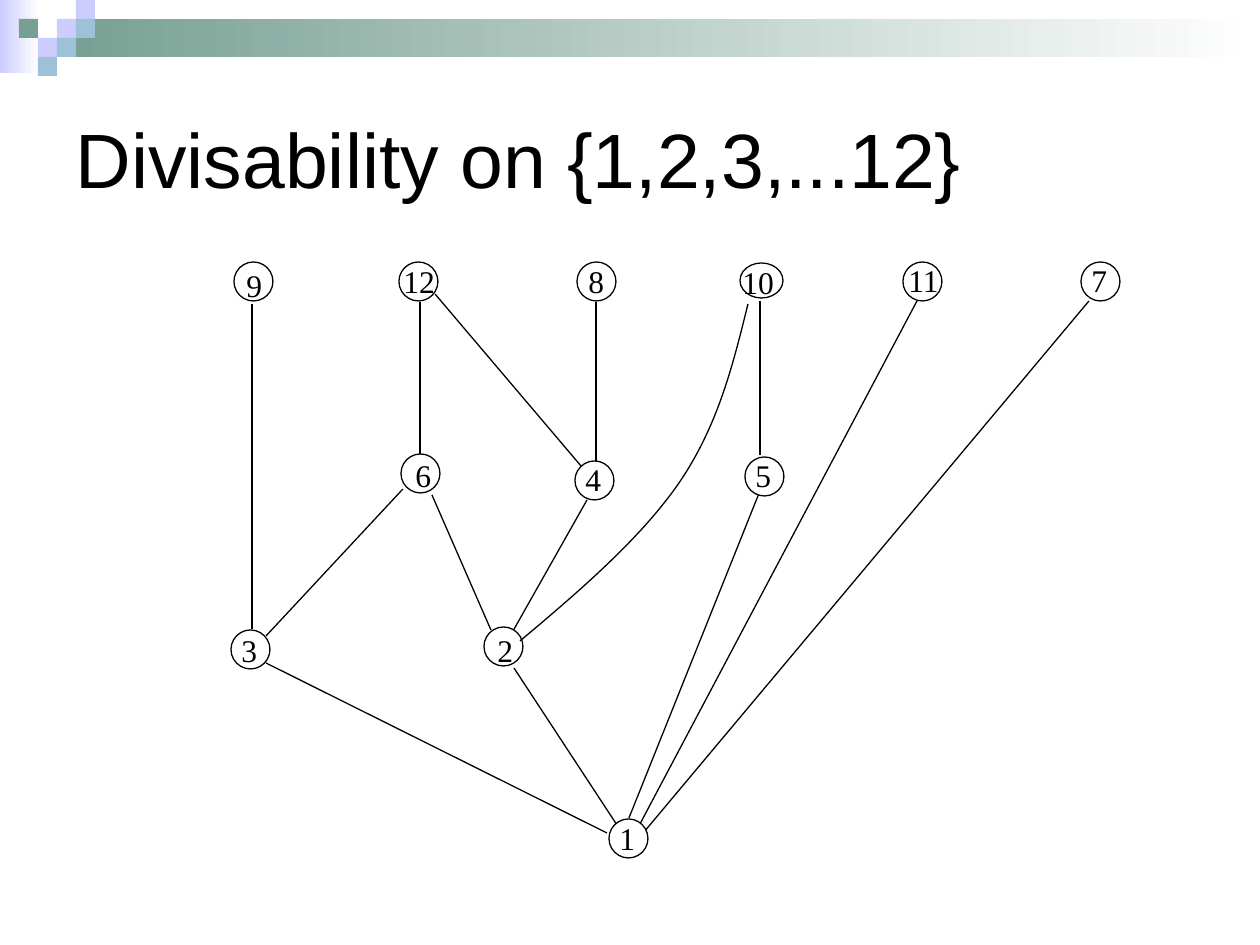
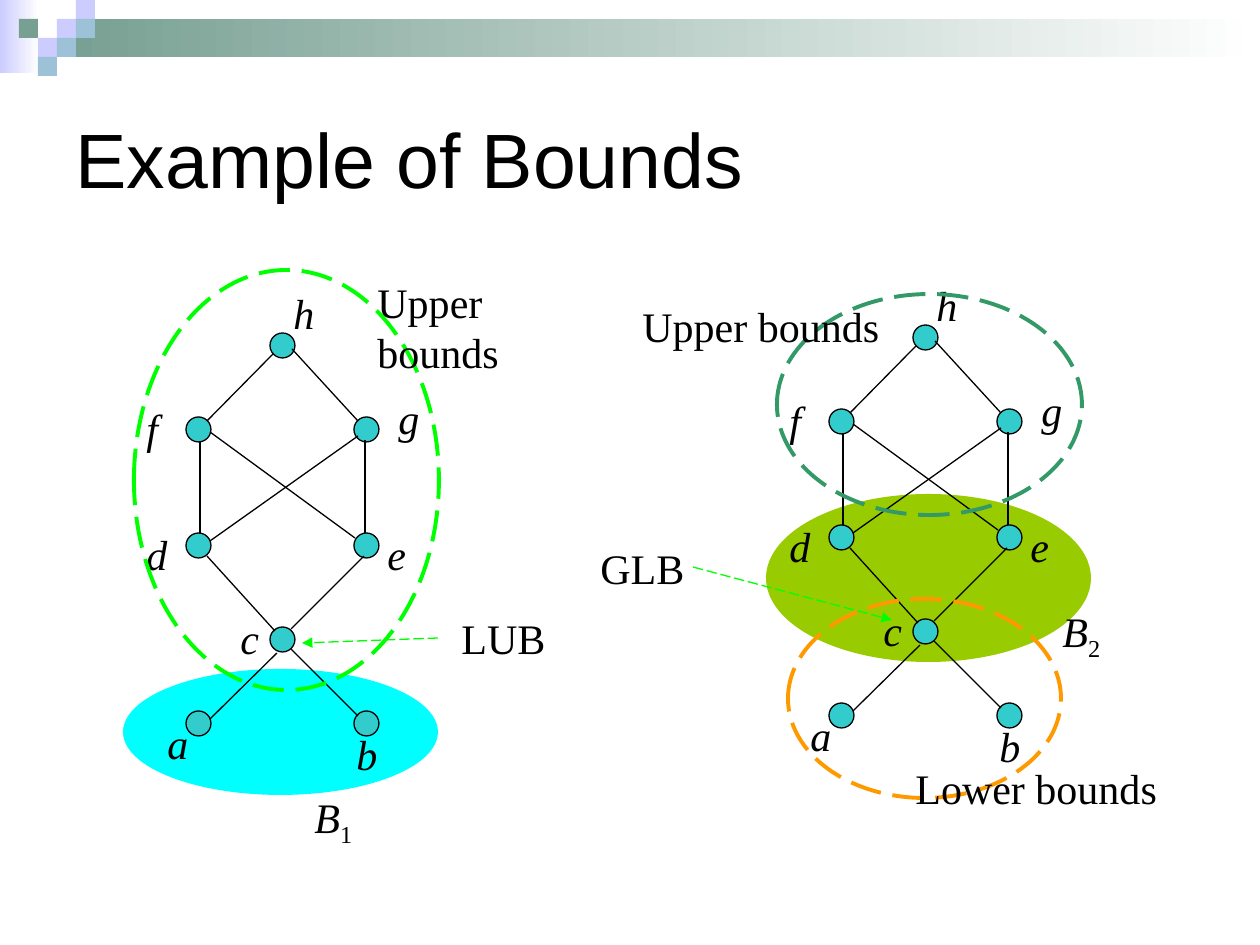
import lxml.etree
import pptx
import pptx.dml.color
import pptx.enum.dml
import pptx.enum.shapes
import pptx.enum.text
import pptx.oxml.ns
import pptx.util

RGBColor = pptx.dml.color.RGBColor
BLACK = RGBColor(0x00, 0x00, 0x00)
WHITE = RGBColor(0xFF, 0xFF, 0xFF)
LAVENDER = RGBColor(0xCC, 0xCC, 0xFF)
SAGE = RGBColor(0x77, 0x9F, 0x92)
PALE_BLUE = RGBColor(0x9D, 0xC2, 0xD7)
TEAL = RGBColor(0x33, 0xCC, 0xCC)
LIME = RGBColor(0x99, 0xCC, 0x00)
CYAN = RGBColor(0x00, 0xFF, 0xFF)
BRIGHT_GREEN = RGBColor(0x00, 0xFF, 0x00)
ORANGE = RGBColor(0xFF, 0x99, 0x00)
SEA_GREEN = RGBColor(0x33, 0x99, 0x66)

SCALE = 914400 / 126
SHAPES = pptx.enum.shapes.MSO_SHAPE
ALIGN = pptx.enum.text.PP_ALIGN
AUTO_SIZE = pptx.enum.text.MSO_AUTO_SIZE
qn = pptx.oxml.ns.qn


def lengths(*pixels):
    return [pptx.util.Emu(round(pixel * SCALE)) for pixel in pixels]


class Deck:
    title_font = "Arial"
    body_font = "Times New Roman"
    thin = 0.75
    thick = 2.25

    def __init__(self):
        self.presentation = pptx.Presentation()
        self.presentation.slide_width, self.presentation.slide_height = lengths(1260, 945)
        self.layout = self.presentation.slide_layouts[5]
        self.slide = None

    def add_slide(self, title):
        self.slide = self.presentation.slides.add_slide(self.layout)
        shape = self.slide.shapes.title
        shape.left, shape.top, shape.width, shape.height = lengths(63, 63, 1134, 189)
        frame = shape.text_frame
        frame.word_wrap = True
        frame.auto_size = AUTO_SIZE.NONE
        frame.vertical_anchor = pptx.enum.text.MSO_ANCHOR.MIDDLE
        paragraph = frame.paragraphs[0]
        paragraph.alignment = ALIGN.LEFT
        self.run(paragraph, title, self.title_font, 44)

    def run(self, paragraph, text, font_name, size, italic=False):
        run = paragraph.add_run()
        run.text = text
        run.font.name = font_name
        run.font.size = pptx.util.Pt(size)
        run.font.italic = italic
        run.font.color.rgb = BLACK
        return run

    def outline(self, line, color, width, dashed=False):
        line.color.rgb = color
        line.width = pptx.util.Pt(width)
        if dashed:
            line.dash_style = pptx.enum.dml.MSO_LINE.LONG_DASH

    def shape(self, kind, box, fill=None, line=None, width=thin, dashed=False):
        shape = self.slide.shapes.add_shape(kind, *lengths(*box))
        shape.shadow.inherit = False
        if fill is None:
            shape.fill.background()
        else:
            shape.fill.solid()
            shape.fill.fore_color.rgb = fill
        if line is None:
            shape.line.fill.background()
        else:
            self.outline(shape.line, line, width, dashed)
        return shape

    def ellipse(self, box, fill=None, line=None):
        return self.shape(SHAPES.OVAL, box, fill, line)

    def dashed_ellipse(self, box, color):
        return self.shape(SHAPES.OVAL, box, None, color, self.thick, True)

    def fading_band(self, box, color):
        shape = self.shape(SHAPES.RECTANGLE, box, color)
        shape.fill.gradient()
        shape.fill.gradient_angle = 0
        for stop, stop_color in zip(shape.fill.gradient_stops, (color, WHITE)):
            stop.color.rgb = stop_color
        return shape

    def decorate_layout(self):
        parts = [self.fading_band((0, 0, 39, 73), LAVENDER),
                 self.fading_band((57, 19, 1203, 38), SAGE)]
        squares = [(3, 1, LAVENDER), (4, 0, LAVENDER), (4, 1, PALE_BLUE),
                   (2, 2, LAVENDER), (1, 1, SAGE), (3, 2, PALE_BLUE), (2, 3, PALE_BLUE)]
        for column, row, color in squares:
            box = (19 * column, 19 * row, 19, 19)
            parts.append(self.shape(SHAPES.RECTANGLE, box, color))
        for part in parts:
            self.layout.shapes.element.append(part.element)

    def text_box(self, box):
        frame = self.slide.shapes.add_textbox(*lengths(*box)).text_frame
        frame.word_wrap = True
        return frame

    def number(self, box, text):
        paragraph = self.text_box(box).paragraphs[0]
        paragraph.alignment = ALIGN.JUSTIFY
        self.run(paragraph, text, self.body_font, 18)

    def label(self, box, text, italic=False, subscript=None):
        frame = self.text_box(box)
        frame.auto_size = AUTO_SIZE.SHAPE_TO_FIT_TEXT
        paragraph = frame.paragraphs[0]
        spacing = lxml.etree.SubElement(paragraph._p.get_or_add_pPr(), qn("a:spcBef"))
        lxml.etree.SubElement(spacing, qn("a:spcPct"), val="50000")
        self.run(paragraph, text, self.body_font, 24, italic)
        if subscript:
            run = self.run(paragraph, subscript, self.body_font, 24)
            run._r.get_or_add_rPr().set("baseline", "-25000")

    def line(self, ends, color=BLACK, dashed=False, arrow=False):
        connector = self.slide.shapes.add_connector(
            pptx.enum.shapes.MSO_CONNECTOR.STRAIGHT, *lengths(*ends))
        self.outline(connector.line, color, self.thin, dashed)
        properties = connector.element.spPr
        if arrow:
            lxml.etree.SubElement(properties.find(qn("a:ln")), qn("a:tailEnd"), type="triangle")
        lxml.etree.SubElement(properties, qn("a:effectLst"))

    def curve(self, start, controls):
        builder = self.slide.shapes.build_freeform(*start, scale=SCALE)
        builder.add_line_segments(controls, close=False)
        shape = builder.convert_to_shape()
        shape.shadow.inherit = False
        shape.fill.background()
        self.outline(shape.line, BLACK, self.thin)
        segments = list(shape.element.iter(qn("a:lnTo")))
        for index in range(0, len(segments), 3):
            bezier = lxml.etree.Element(qn("a:cubicBezTo"))
            segments[index].addprevious(bezier)
            for segment in segments[index:index + 3]:
                bezier.append(segment[0])
                segment.getparent().remove(segment)


def divisibility_slide(deck):
    deck.add_slide("Divisability on {1,2,3,...12}")
    deck.decorate_layout()
    edges = [
        (252, 304, 252, 629), (420, 302, 420, 456), (432, 495, 491, 630),
        (266, 636, 403, 489), (513, 631, 587, 500), (596, 302, 596, 464),
        (760, 301, 760, 455), (266, 663, 607, 833), (514, 668, 617, 825),
        (760, 491, 629, 818), (917, 301, 640, 824), (1089, 301, 644, 832),
    ]
    nodes = [
        ("9", (234, 262, 39, 39), (234, 260, 57, 53)),
        ("12", (399, 262, 39, 39), (391, 256, 97, 92)),
        ("8", (577, 262, 39, 39), (576, 256, 106, 113)),
        ("10", (740, 263, 43, 35), (730, 257, 83, 62)),
        ("11", (903, 262, 39, 39), (896, 255, 113, 136)),
        ("7", (1081, 262, 39, 39), (1079, 255, 106, 113)),
        ("6", (401, 454, 39, 39), (403, 450, 97, 116)),
        ("4", (575, 461, 39, 39), (573, 454, 79, 102)),
        ("5", (745, 457, 39, 39), (743, 450, 98, 129)),
        ("3", (231, 630, 39, 39), (229, 625, 60, 64)),
        ("2", (484, 627, 39, 39), (485, 625, 120, 142)),
        ("1", (609, 819, 39, 39), (607, 813, 129, 125)),
    ]
    for edge in edges:
        deck.line(edge)
    for text, circle, box in nodes:
        deck.ellipse(circle, WHITE, BLACK)
        deck.number(box, text)
    deck.line((581, 466, 435, 294))
    deck.curve((520, 641), [(581, 590), (641, 538), (679, 483),
                            (718, 426), (733, 365), (748, 304)])


def lattice(deck, right, down):
    nodes = [
        ("h", 270, 333, 281, 281), ("f", 186, 417, 134, 396),
        ("d", 186, 533, 134, 522), ("e", 354, 533, 375, 522),
        ("g", 354, 417, 386, 386), ("a", 186, 711, 155, 711),
        ("b", 354, 711, 344, 722), ("c", 270, 627, 228, 606),
    ]
    edges = [
        (207, 421, 273, 354), (292, 349, 358, 421), (200, 533, 200, 442),
        (365, 533, 365, 440), (207, 556, 275, 631), (291, 649, 358, 716),
        (277, 653, 210, 719), (291, 629, 364, 556), (210, 541, 358, 436),
        (210, 432, 355, 538),
    ]
    for name, x, y, label_x, label_y in nodes:
        deck.ellipse((x + right, y + down, 25, 25), TEAL, BLACK)
        deck.label((label_x + right, label_y + down, 105, 63), name, italic=True)
    for x1, y1, x2, y2 in edges:
        deck.line((x1 + right, y1 + down, x2 + right, y2 + down))


def bounds_slide(deck):
    deck.add_slide("Example of Bounds")
    deck.ellipse((766, 494, 325, 168), LIME)
    deck.ellipse((123, 669, 315, 126), CYAN)
    lattice(deck, 0, 0)
    lattice(deck, 643, -8)
    deck.label((302, 785, 136, 63), "B", italic=True, subscript="1")
    deck.label((1050, 599, 136, 63), "B", italic=True, subscript="2")
    deck.dashed_ellipse((134, 270, 305, 420), BRIGHT_GREEN)
    deck.dashed_ellipse((788, 599, 273, 199), ORANGE)
    deck.dashed_ellipse((777, 294, 305, 221), SEA_GREEN)
    deck.label((365, 270, 231, 113), "Upper bounds")
    deck.label((449, 606, 158, 63), "LUB")
    deck.label((903, 756, 336, 63), "Lower bounds")
    deck.label((630, 294, 262, 63), "Upper bounds")
    deck.label((588, 536, 179, 63), "GLB")
    for ends in [(438, 638, 302, 643), (693, 567, 892, 620)]:
        deck.line(ends, BRIGHT_GREEN, dashed=True, arrow=True)


deck = Deck()
divisibility_slide(deck)
bounds_slide(deck)
deck.presentation.save("out.pptx")
